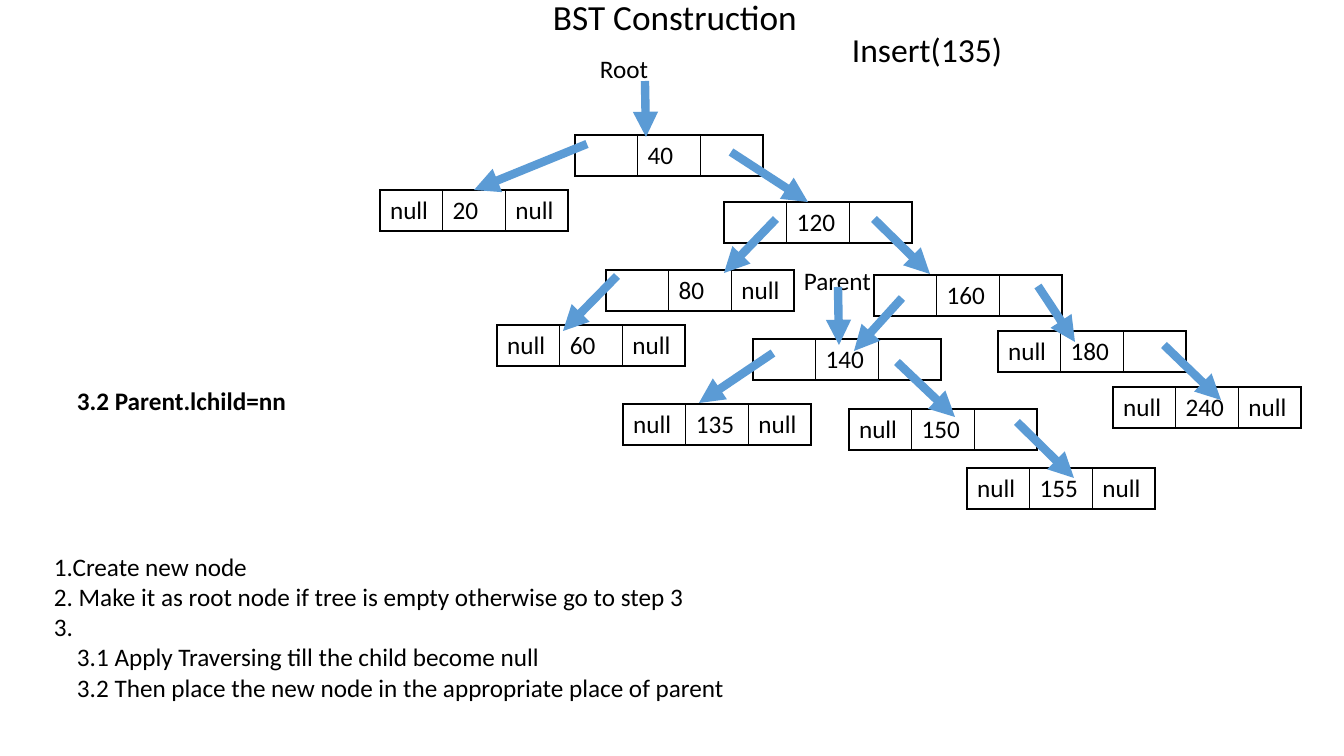
import lxml.etree
import pptx
import pptx.dml.color
import pptx.enum.shapes
import pptx.enum.text
import pptx.oxml
import pptx.oxml.ns
import pptx.util

# Content, with lengths in px
TITLE = "BST Construction"

# Value: (left, top, left child field, right child field)
NODES = {
    40: (575, 135, "", ""),
    20: (380, 190, "null", "null"),
    120: (724, 202, "", ""),
    80: (606, 270, "", "null"),
    160: (874, 275, "", ""),
    60: (497, 325, "null", "null"),
    180: (998, 331, "null", ""),
    140: (753, 339, "", ""),
    240: (1113, 387, "null", "null"),
    135: (623, 404, "null", "null"),
    150: (849, 409, "null", ""),
    155: (967, 468, "null", "null"),
}

# (from, to)
ARROWS = [
    ((645, 81), (646, 137)),      # Root to 40
    ((587, 144), (474, 190)),     # 40 to 20
    ((731, 152), (808, 202)),     # 40 to 120
    ((776, 219), (724, 273)),     # 120 to 80
    ((874, 219), (930, 274)),     # 120 to 160
    ((617, 276), (563, 331)),     # 80 to 60
    ((902, 298), (854, 351)),     # 160 to 140
    ((1038, 286), (1075, 342)),   # 160 to 180
    ((773, 353), (699, 403)),     # 140 to 135
    ((897, 362), (955, 417)),     # 140 to 150
    ((1164, 345), (1221, 400)),   # 180 to 240
    ((1017, 422), (1074, 478)),   # 150 to 155
    ((838, 287), (839, 345)),     # Parent to 140
]

# (text, left, top, width, height, format)
LABELS = [
    ("Insert(135)", 842, 29, 300, 50, {"size": 24, "spacing": 0.9}),
    ("Root", 590, 48, 110, 40, {}),
    ("Parent", 794, 260, 251, 40, {}),
    ("3.2 Parent.lchild=nn", 67, 380, 418, 40, {"bold": True}),
]

# (text, left indent)
STEPS = [
    ("1.Create new node", 0),
    ("2. Make it as root node if tree is empty otherwise go to step 3", 0),
    ("3.", 0),
    ("3.1 Apply Traversing till the child become null", 23),
    ("3.2 Then place the new node in the appropriate place of parent", 23),
]

COLORS = {"text": "000000", "border": "000000", "arrow": "5B9BD5"}
FONT = "Calibri"
NODE_WIDTH, NODE_HEIGHT = 188, 41
PX_PER_INCH = 100.8


def px(length):
    return pptx.util.Emu(round(length * 914400 / PX_PER_INCH))


def color(name):
    return pptx.dml.color.RGBColor.from_string(COLORS[name])


def write(paragraph, text, size=18, bold=False, align=None, spacing=None, indent=0):
    span = paragraph.add_run()
    span.text = text
    span.font.name = FONT
    span.font.size = pptx.util.Pt(size)
    span.font.bold = bold
    span.font.color.rgb = color("text")
    paragraph.alignment = align
    paragraph.line_spacing = spacing
    if indent:
        paragraph._p.get_or_add_pPr().set("marL", str(px(indent)))


def add_box(page, left, top, width, height):
    box = page.shapes.add_textbox(px(left), px(top), px(width), px(height))
    box.text_frame.word_wrap = True
    return box.text_frame


def add_borders(cell):
    properties = cell._tc.get_or_add_tcPr()
    for position, side in enumerate(("lnL", "lnR", "lnT", "lnB")):
        border = pptx.oxml.parse_xml(
            f'<a:{side} {pptx.oxml.ns.nsdecls("a")} w="12700"><a:solidFill>'
            f'<a:srgbClr val="{COLORS["border"]}"/></a:solidFill></a:{side}>'
        )
        properties.insert(position, border)


def add_node(page, value, left, top, left_child, right_child):
    frame = page.shapes.add_table(
        1, 3, px(left), px(top), px(NODE_WIDTH), px(NODE_HEIGHT))
    table = frame.table
    table.first_row = False
    table.horz_banding = False
    for column, text in enumerate((left_child, str(value), right_child)):
        cell = table.cell(0, column)
        cell.fill.background()
        add_borders(cell)
        if text:
            write(cell.text_frame.paragraphs[0], text)


def add_arrow(page, start, end):
    arrow = page.shapes.add_connector(
        pptx.enum.shapes.MSO_CONNECTOR.STRAIGHT,
        *(px(length) for length in start + end))
    arrow.line.color.rgb = color("arrow")
    arrow.line.width = pptx.util.Pt(6)
    line = arrow.line._get_or_add_ln()
    lxml.etree.SubElement(line, pptx.oxml.ns.qn("a:tailEnd"), type="triangle")
    lxml.etree.SubElement(arrow._element.spPr, pptx.oxml.ns.qn("a:effectLst"))


def main():
    deck = pptx.Presentation()
    deck.slide_width, deck.slide_height = px(1344), px(756)
    page = deck.slides.add_slide(deck.slide_layouts[5])

    # Title
    title = page.shapes.title
    title.left, title.top, title.width, title.height = px(171), px(8), px(1008), px(35)
    title.text_frame.auto_size = pptx.enum.text.MSO_AUTO_SIZE.NONE
    title.text_frame.vertical_anchor = pptx.enum.text.MSO_ANCHOR.BOTTOM
    write(title.text_frame.paragraphs[0], TITLE, size=25.2, spacing=0.9,
          align=pptx.enum.text.PP_ALIGN.CENTER)

    # Labels
    for text, left, top, width, height, style in LABELS:
        frame = add_box(page, left, top, width, height)
        write(frame.paragraphs[0], text, **style)

    # Tree
    for value, node in NODES.items():
        add_node(page, value, *node)
    for start, end in ARROWS:
        add_arrow(page, start, end)

    # Steps
    frame = add_box(page, 44, 546, 900, 163)
    for number, (text, indent) in enumerate(STEPS):
        paragraph = frame.add_paragraph() if number else frame.paragraphs[0]
        write(paragraph, text, indent=indent)

    deck.save("out.pptx")


if __name__ == "__main__":
    main()
